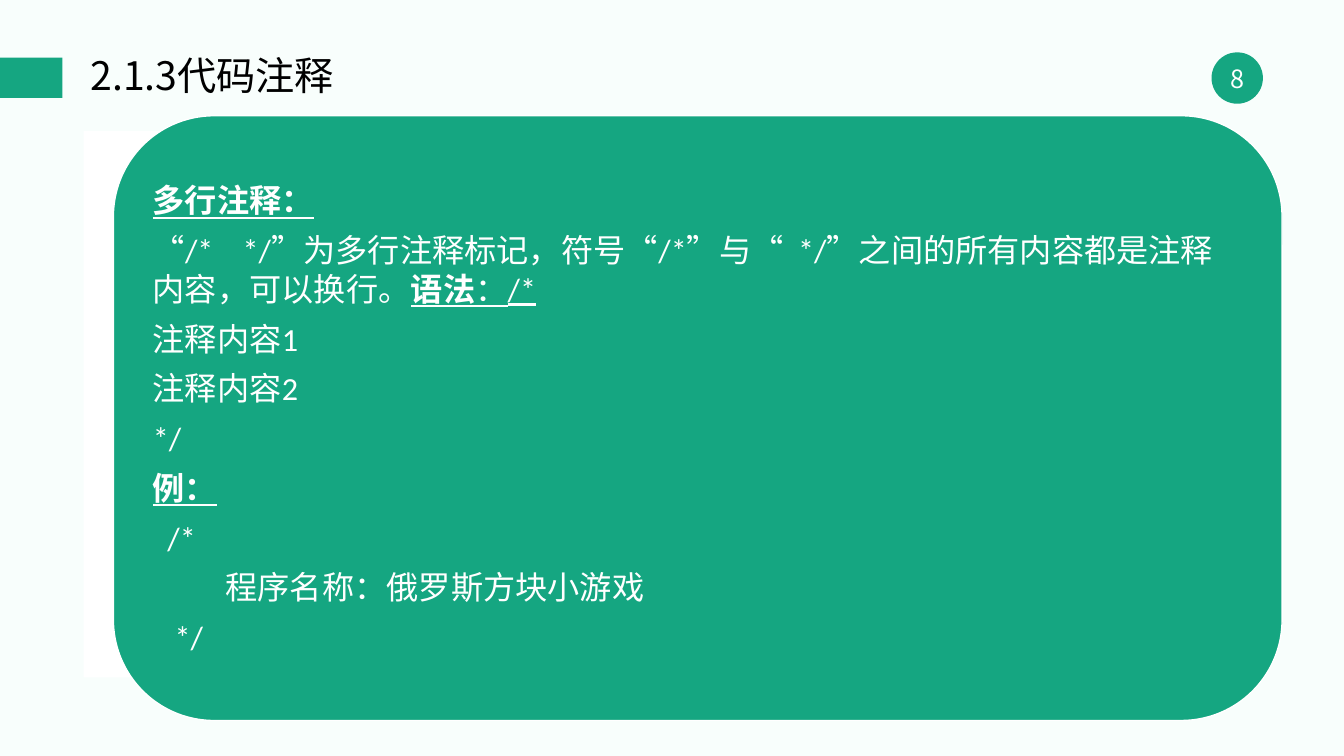
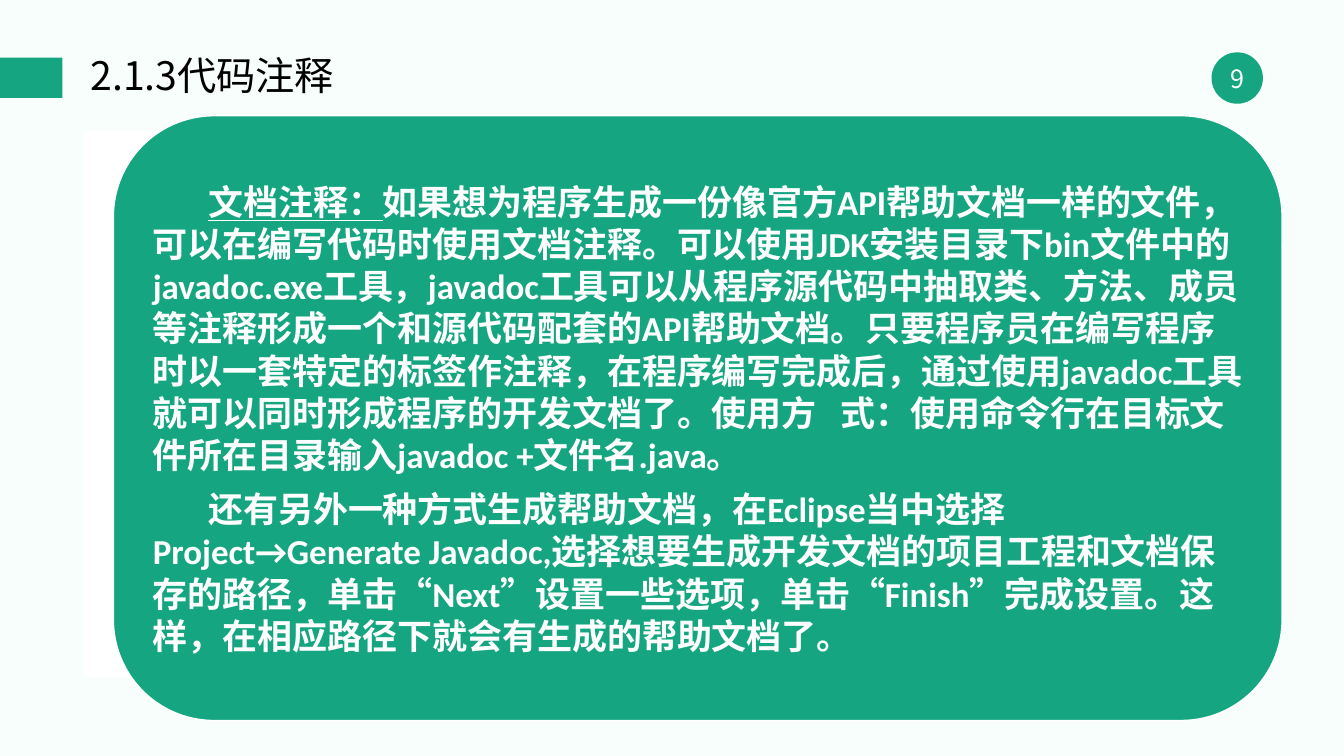
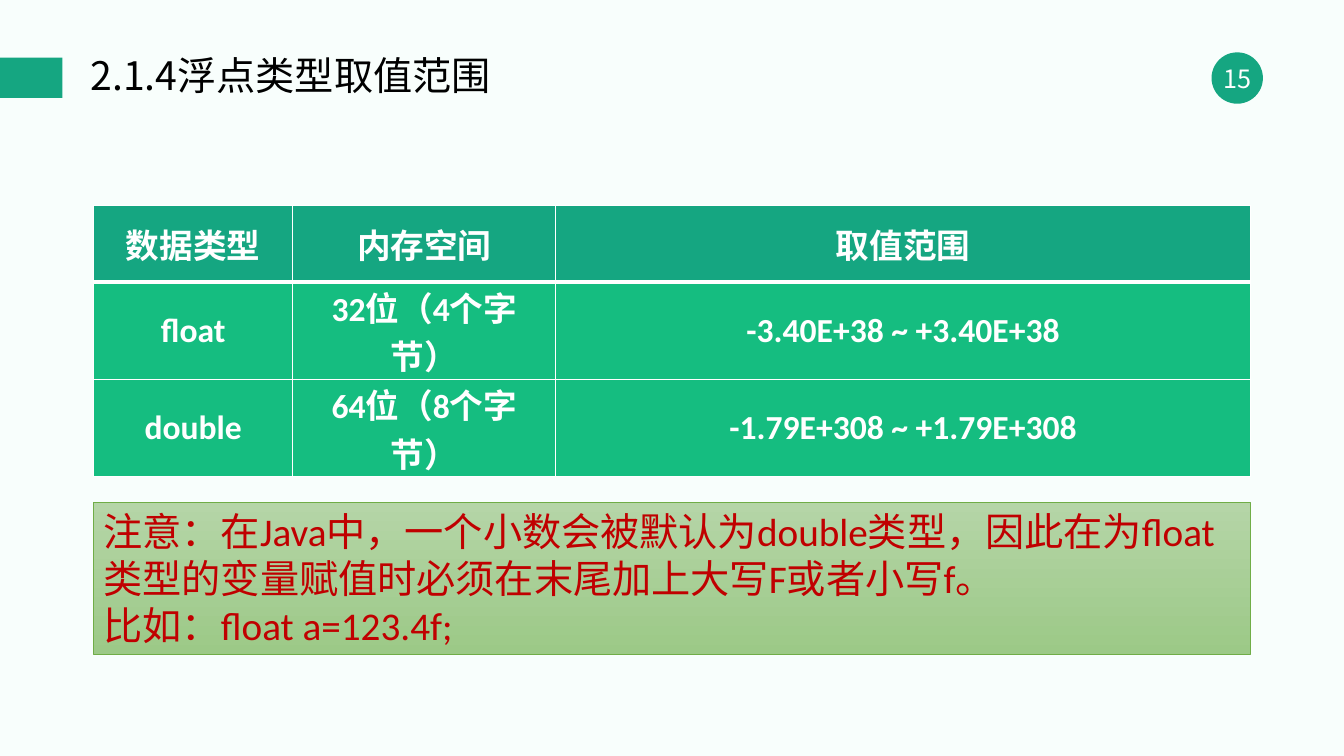
"""Build three lesson slides on code comments and floating-point types."""
from dataclasses import dataclass

from lxml.etree import SubElement
from pptx import Presentation
from pptx.dml.color import RGBColor
from pptx.enum.shapes import MSO_SHAPE as Preset
from pptx.enum.text import MSO_ANCHOR as Anchor, PP_ALIGN as Align
from pptx.oxml import parse_xml
from pptx.oxml.ns import nsdecls, qn
from pptx.shapes.autoshape import Shape
from pptx.slide import Slide
from pptx.table import _Cell as Cell
from pptx.text.text import TextFrame, _Paragraph as Paragraph, _Run as Run
from pptx.util import Pt

GREEN, LIGHT_GREEN, BACKGROUND = "15A681", "15BD80", "F8FEFC"
WHITE, BLACK, RED, NOTE_LINE = "FFFFFF", "000000", "C00000", "70AD47"
NOTE_GRADIENT = ("B5D5A7", "9CC987")
LATIN, CHINESE = "Calibri", "Noto Sans CJK SC"
TABLE_LEFT, TABLE_TOP = 66.9, 146.9
COLUMN_WIDTHS = (142.2, 187.9, 496.3)
ROW_HEIGHTS = (54.6, 69.5, 69.5)


@dataclass(frozen=True)
class Box:
    left: float
    top: float
    width: float
    height: float

    def lengths(self) -> tuple[Pt, ...]:
        return Pt(self.left), Pt(self.top), Pt(self.width), Pt(self.height)


@dataclass(frozen=True)
class Style:
    size: float
    color: str
    latin: str = LATIN
    chinese: str = CHINESE


@dataclass(frozen=True)
class Span:
    text: str
    bold: bool = False
    underline: bool = False
    tracking: float = 0


@dataclass(frozen=True)
class Para:
    spans: tuple[Span, ...]
    margin: float = 0
    first_line: float = 0


BAND = Box(0, 41.2, 44.6, 28.8)
BADGE = Box(865.4, 37.4, 36.7, 36.7)
TITLE = Box(57.6, 37.4, 536.4, 36.7)
BACKDROP = Box(59.8, 93.6, 825.8, 390.2)
PANEL = Box(81, 82.7, 834.8, 432)
NOTE = Box(66.9, 358.6, 826.4, 108.7)

TITLE_STYLE = Style(28, BLACK, CHINESE)
BADGE_STYLE = Style(18, WHITE, CHINESE)
TABLE_STYLE = Style(24, WHITE)
NOTE_STYLE = Style(28, RED, chinese=LATIN)

BLOCK_COMMENT = (
    Para((Span("多行注释：", True, True),)),
    Para((
        Span("“/*"),
        Span(" ", tracking=15.6),
        Span("*/”为多行注释标记，符号“/*”与“"),
        Span(" ", tracking=5.2),
        Span("*/”之间的所有内容都是注释内容，可以换行。"),
        Span("语法", True, True),
        Span("：/*", False, True),
    )),
    Para((Span("注释内容1"),)),
    Para((Span("注释内容2"),)),
    Para((Span("*/"),)),
    Para((Span("例：", True, True),)),
    Para((Span("/*"),), margin=10.4),
    Para((Span("程序名称：俄罗斯方块小游戏"),), margin=52),
    Para((Span("*/"),), margin=15.6),
)

DOC_COMMENT = (
    Para((
        Span("文档注释：", True, True),
        Span("如果想为程序生成一份像官方API帮助文档一样的文件，可以在编写代码时使用文档注释。"
             "可以使用JDK安装目录下bin文件中的javadoc.exe工具，javadoc工具可以从程序源代码中"
             "抽取类、方法、成员等注释形成一个和源代码配套的API帮助文档。只要程序员在编写程序时"
             "以一套特定的标签作注释，在程序编写完成后，通过使用javadoc工具就可以同时形成程序的"
             "开发文档了。使用方", True),
        Span(" ", True, tracking=11.3),
        Span("式：使用命令行在目标文件所在目录输入javadoc +文件名.java。", True),
    ), first_line=39.6),
    Para((
        Span("还有另外一种方式生成帮助文档，在Eclipse当中选择Project→Generate Javadoc,"
             "选择想要生成开发文档的项目工程和文档保存的路径，单击“Next”设置一些选项，"
             "单击“Finish”完成设置。这样，在相应路径下就会有生成的帮助文档了。", True),
    ), first_line=39.6),
)

FLOAT_ROWS = (
    ("数据类型", "内存空间", "取值范围"),
    ("float", "32位（4个字节）", "-3.40E+38 ~ +3.40E+38"),
    ("double", "64位（8个字节）", "-1.79E+308 ~ +1.79E+308"),
)
NOTE_TEXT = (
    "注意：在Java中，一个小数会被默认为double类型，因此在为float类型的变量赋值时"
    "必须在末尾加上大写F或者小写f。\n比如：float a=123.4f;"
)


def rgb(color: str) -> RGBColor:
    return RGBColor.from_string(color)


def format_run(run: Run, style: Style, bold: bool = False, underline: bool = False) -> None:
    font = run.font
    font.size, font.bold, font.underline = Pt(style.size), bold, underline
    font.color.rgb = rgb(style.color)
    font.name = style.latin
    SubElement(run._r.get_or_add_rPr(), qn("a:ea")).set("typeface", style.chinese)


def format_frame(frame: TextFrame, style: Style, align: Align = Align.LEFT,
                 bold: bool = False) -> None:
    for para in frame.paragraphs:
        para.alignment = align
        for run in para.runs:
            format_run(run, style, bold)


def add_filled(slide: Slide, preset: Preset, box: Box, color: str) -> Shape:
    shape = slide.shapes.add_shape(preset, *box.lengths())
    shape.shadow.inherit = False
    shape.fill.solid()
    shape.fill.fore_color.rgb = rgb(color)
    shape.line.fill.background()
    return shape


def set_insets(frame: TextFrame, horizontal: float, vertical: float) -> None:
    frame.margin_left = frame.margin_right = Pt(horizontal)
    frame.margin_top = frame.margin_bottom = Pt(vertical)


def add_base_slide(deck: Presentation, title: str, number: int) -> Slide:
    slide = deck.slides.add_slide(deck.slide_layouts[6])
    slide.background.fill.solid()
    slide.background.fill.fore_color.rgb = rgb(BACKGROUND)
    badge = add_filled(slide, Preset.OVAL, BADGE, GREEN).text_frame
    set_insets(badge, 0, 0)
    badge.word_wrap = False
    badge.vertical_anchor = Anchor.MIDDLE
    badge.text = str(number)
    format_frame(badge, BADGE_STYLE, Align.CENTER)
    add_filled(slide, Preset.RECTANGLE, BAND, GREEN)
    heading = slide.shapes.add_textbox(*TITLE.lengths()).text_frame
    heading.word_wrap = True
    heading.vertical_anchor = Anchor.MIDDLE
    heading.text = title
    format_frame(heading, TITLE_STYLE)
    heading.paragraphs[0].line_spacing = 0.9
    return slide


def fill_paragraph(para: Paragraph, content: Para, style: Style) -> None:
    para.alignment = Align.LEFT
    para.line_spacing = Pt(round(style.size * 1.21, 1))
    para.space_after = Pt(round(style.size / 3, 1))
    properties = para._p.get_or_add_pPr()
    properties.set("marL", str(Pt(content.margin)))
    properties.set("indent", str(Pt(content.first_line)))
    for span in content.spans:
        run = para.add_run()
        run.text = span.text
        format_run(run, style, span.bold, span.underline)
        if span.tracking:
            run._r.get_or_add_rPr().set("spc", str(round(span.tracking * 100)))


def add_panel(slide: Slide, contents: tuple[Para, ...], size: float) -> None:
    add_filled(slide, Preset.RECTANGLE, BACKDROP, WHITE)
    panel = add_filled(slide, Preset.ROUNDED_RECTANGLE, PANEL, GREEN)
    panel.line.color.rgb = rgb(WHITE)
    panel.line.width = Pt(1)
    frame = panel.text_frame
    set_insets(frame, 7.2, 7.2)
    frame.word_wrap = True
    frame.vertical_anchor = Anchor.MIDDLE
    for index, content in enumerate(contents):
        para = frame.add_paragraph() if index else frame.paragraphs[0]
        fill_paragraph(para, content, Style(size, WHITE))


def set_borders(cell: Cell, top: float, bottom: float) -> None:
    properties = cell._tc.get_or_add_tcPr()
    widths = {"lnL": 1, "lnR": 1, "lnT": top, "lnB": bottom}
    for position, (side, width) in enumerate(widths.items()):
        properties.insert(position, parse_xml(
            f'<a:{side} {nsdecls("a")} w="{Pt(width)}"><a:solidFill>'
            f'<a:srgbClr val="{WHITE}"/></a:solidFill></a:{side}>'))


def add_float_table(slide: Slide) -> None:
    box = Box(TABLE_LEFT, TABLE_TOP, sum(COLUMN_WIDTHS), sum(ROW_HEIGHTS))
    table = slide.shapes.add_table(
        len(FLOAT_ROWS), len(COLUMN_WIDTHS), *box.lengths()).table
    for column, width in zip(table.columns, COLUMN_WIDTHS):
        column.width = Pt(width)
    for row_index, texts in enumerate(FLOAT_ROWS):
        table.rows[row_index].height = Pt(ROW_HEIGHTS[row_index])
        for column_index, text in enumerate(texts):
            cell = table.cell(row_index, column_index)
            cell.text = text
            cell.vertical_anchor = Anchor.MIDDLE
            cell.margin_left = cell.margin_right = Pt(5)
            cell.margin_top = cell.margin_bottom = Pt(0)
            cell.fill.solid()
            cell.fill.fore_color.rgb = rgb(LIGHT_GREEN if row_index else GREEN)
            set_borders(cell, 3 if row_index == 1 else 1, 1 if row_index else 3)
            format_frame(cell.text_frame, TABLE_STYLE, Align.CENTER, True)


def add_note(slide: Slide) -> None:
    note = add_filled(slide, Preset.RECTANGLE, NOTE, NOTE_GRADIENT[0])
    note.fill.gradient()
    note.fill.gradient_angle = 270
    for stop, color in zip(note.fill.gradient_stops, NOTE_GRADIENT):
        stop.color.rgb = rgb(color)
    note.line.color.rgb = rgb(NOTE_LINE)
    note.line.width = Pt(0.5)
    frame = note.text_frame
    frame.word_wrap = True
    frame.vertical_anchor = Anchor.TOP
    frame.text = NOTE_TEXT
    format_frame(frame, NOTE_STYLE)


def main() -> None:
    deck = Presentation()
    deck.slide_width, deck.slide_height = Pt(960), Pt(540)
    add_panel(add_base_slide(deck, "2.1.3代码注释", 8), BLOCK_COMMENT, 23)
    add_panel(add_base_slide(deck, "2.1.3代码注释", 9), DOC_COMMENT, 25)
    float_slide = add_base_slide(deck, "2.1.4浮点类型取值范围", 15)
    add_float_table(float_slide)
    add_note(float_slide)
    deck.save("out.pptx")


if __name__ == "__main__":
    main()
